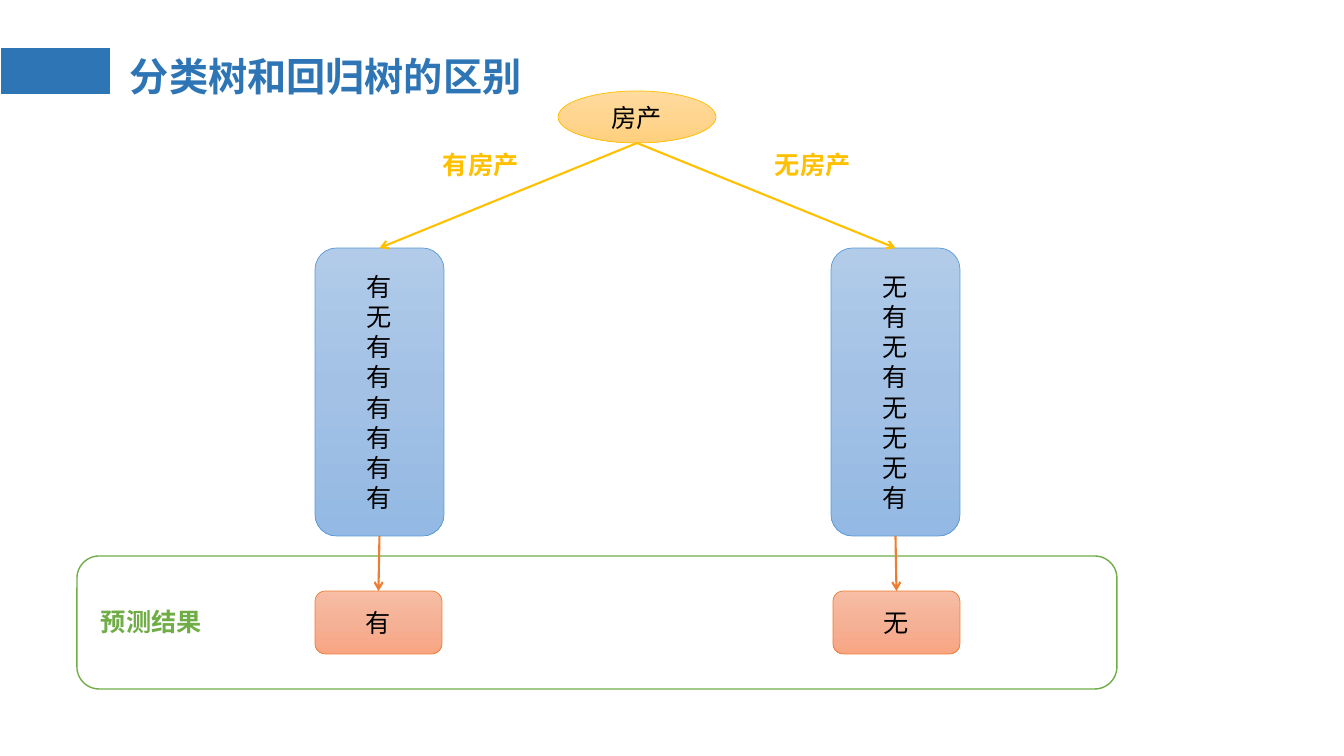
import copy

import pptx
import pptx.dml.color
import pptx.enum.shapes
import pptx.enum.text
import pptx.oxml
import pptx.oxml.ns
import pptx.util

RGBColor = pptx.dml.color.RGBColor
SHAPE = pptx.enum.shapes.MSO_SHAPE
ALIGN = pptx.enum.text.PP_ALIGN
qn = pptx.oxml.ns.qn

BLUE = RGBColor(0x2E, 0x75, 0xB6)
WHITE = RGBColor(0xFF, 0xFF, 0xFF)
BLACK = RGBColor(0x00, 0x00, 0x00)
GREEN = RGBColor(0x70, 0xAD, 0x47)
GOLD = RGBColor(0xFF, 0xC0, 0x00)
SKY = RGBColor(0x5B, 0x9B, 0xD5)
ORANGE = RGBColor(0xED, 0x7D, 0x31)
GOLD_SHADES = RGBColor(0xFF, 0xDB, 0x9E), RGBColor(0xFF, 0xD5, 0x90), RGBColor(0xFF, 0xD0, 0x7C)
SKY_SHADES = RGBColor(0xB1, 0xCB, 0xE9), RGBColor(0xA3, 0xC1, 0xE5), RGBColor(0x93, 0xB9, 0xE4)
ORANGE_SHADES = RGBColor(0xF7, 0xBD, 0xA5), RGBColor(0xF5, 0xB1, 0x96), RGBColor(0xF8, 0xA5, 0x82)

PX = 914400 / 100.8  # EMU in one pixel

deck = pptx.Presentation()
deck.slide_width, deck.slide_height = round(1344 * PX), round(756 * PX)
page = deck.slides.add_slide(deck.slide_layouts[6])


def add_box(text, *, at, shape=None, fill=(), line=None, width=0.5, size=18,
            font="Calibri", color=BLACK, bold=False, align=ALIGN.CENTER, wrap=True):
    """Add a text box, or a preset shape with one fill colour or a gradient."""
    place = [round(length * PX) for length in at]
    if shape is None:
        box = page.shapes.add_textbox(*place)
    else:
        box = page.shapes.add_shape(shape, *place)
        box.shadow.inherit = False
        box.line.color.rgb = line
        box.line.width = pptx.util.Pt(width)
        if len(fill) == 1:
            box.fill.solid()
            box.fill.fore_color.rgb = fill[0]
        else:
            box.fill.gradient()
            box.fill.gradient_angle = 270
            first = box._element.spPr.find(".//" + qn("a:gs"))
            first.addnext(copy.deepcopy(first))
            for stop, shade, position in zip(box.fill.gradient_stops, fill, (0, 0.5, 1)):
                stop.color.rgb = shade
                stop.position = position
    if text:
        frame = box.text_frame
        frame.word_wrap = wrap
        frame.vertical_anchor = pptx.enum.text.MSO_ANCHOR.MIDDLE
        if not wrap:
            frame.auto_size = pptx.enum.text.MSO_AUTO_SIZE.SHAPE_TO_FIT_TEXT
        frame.text = text
        for para in frame.paragraphs:
            para.alignment = align
            span = para.runs[0]
            span.font.size = pptx.util.Pt(size)
            span.font.name = font
            span.font.bold = bold
            span.font.color.rgb = color
            east_asian = span._r.get_or_add_rPr().makeelement(qn("a:ea"), {"typeface": font})
            span._r.rPr.find(qn("a:latin")).addnext(east_asian)
    return box


def add_arrow(start, end, color):
    arrow = page.shapes.add_connector(pptx.enum.shapes.MSO_CONNECTOR.STRAIGHT,
                                      *[round(length * PX) for length in (*start, *end)])
    arrow.line.color.rgb = color
    arrow.line.width = pptx.util.Pt(1.5)
    outline = arrow.line._get_or_add_ln()
    outline.append(outline.makeelement(qn("a:tailEnd"), {"type": "arrow"}))
    properties = arrow._element.spPr
    properties.append(properties.makeelement(qn("a:effectLst"), {}))
    return arrow


# Heading
add_box("", at=(0, 48, 111, 47), shape=SHAPE.RECTANGLE, fill=[BLUE], line=WHITE, width=0.75)
title = add_box("分类树和回归树的区别", at=(120, 18, 1159, 121), size=28,
                font="Noto Sans CJK SC", color=BLUE, bold=True, align=ALIGN.LEFT)
title.text_frame.paragraphs[0].line_spacing = 0.9

# Frame around the predictions
add_box("", at=(77, 556, 1040, 133), shape=SHAPE.ROUNDED_RECTANGLE,
        fill=[WHITE], line=GREEN, width=1)
add_box("预测结果", at=(91, 601, 122, 40), color=GREEN, bold=True,
        align=ALIGN.LEFT, wrap=False)

# Root of the tree
add_box("房产", at=(558, 91, 158, 52), shape=SHAPE.OVAL, fill=GOLD_SHADES, line=GOLD)

# Branches: label and left, samples and left, prediction and left
branches = [
    ("有房产", 433, "有无有有有有有有", 315, "有", 315),
    ("无房产", 765, "无有无有无无无有", 831, "无", 833),
]
for label, label_left, samples, samples_left, result, result_left in branches:
    leaf = add_box("\n".join(samples), at=(samples_left, 248, 129, 288),
                   shape=SHAPE.ROUNDED_RECTANGLE, fill=SKY_SHADES, line=SKY)
    prediction = add_box(result, at=(result_left, 591, 127, 63),
                         shape=SHAPE.ROUNDED_RECTANGLE, fill=ORANGE_SHADES, line=ORANGE)
    add_box(label, at=(label_left, 144, 96, 40), color=GOLD, bold=True,
            align=ALIGN.LEFT, wrap=False)
    split = add_arrow((637, 143), (samples_left + 64, 248), GOLD)
    split.end_connect(leaf, 0)
    outcome = add_arrow((samples_left + 64, 536), (result_left + 63, 591), ORANGE)
    outcome.begin_connect(leaf, 2)
    outcome.end_connect(prediction, 0)

deck.save("out.pptx")
